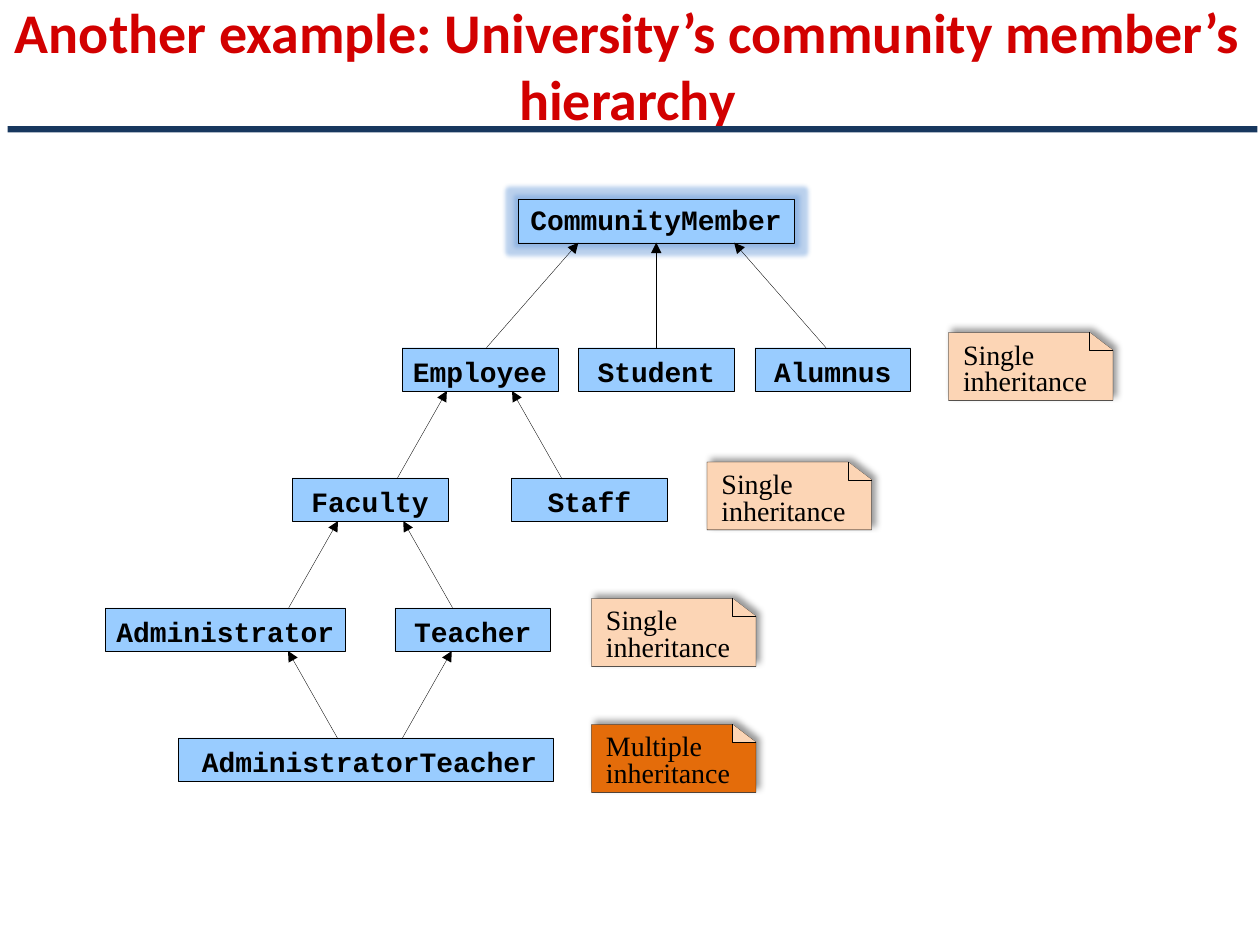
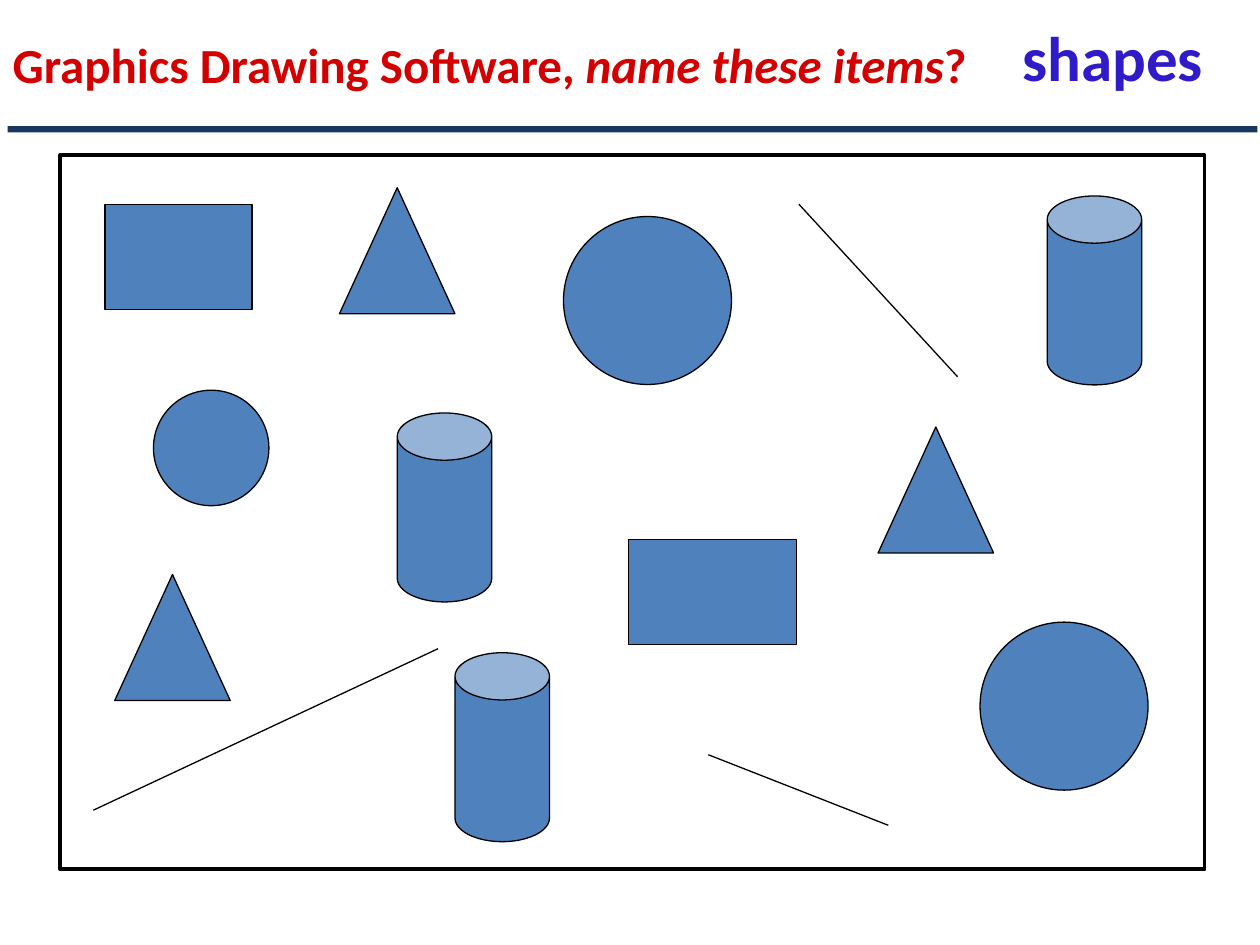
"""Build two slides: a class hierarchy and a page of drawing shapes."""
import lxml.etree
import pptx
import pptx.dml.color
import pptx.enum.shapes
import pptx.enum.text
import pptx.oxml.ns
import pptx.util

Pt = pptx.util.Pt
RGB = pptx.dml.color.RGBColor
KIND = pptx.enum.shapes.MSO_SHAPE
ALIGN = pptx.enum.text.PP_ALIGN
ANCHOR = pptx.enum.text.MSO_ANCHOR
qn = pptx.oxml.ns.qn

RED = RGB(0xD2, 0x00, 0x00)
NAVY = RGB(0x17, 0x37, 0x5E)
VIOLET = RGB(0x2F, 0x1B, 0xC7)
SKY = RGB(0x99, 0xCC, 0xFF)
GLOW = RGB(0x55, 0x8E, 0xD5)
PEACH = RGB(0xFC, 0xD5, 0xB5)
ORANGE = RGB(0xE4, 0x6C, 0x0A)
BLUE = RGB(0x4F, 0x81, 0xBD)
BLACK = RGB(0, 0, 0)
WHITE = RGB(255, 255, 255)

TREE_HEAD = [("Another example: University’s community member’s hierarchy", False)]
DRAW_HEAD = [("Graphics Drawing Software, ", False),
             ("name these items", True), ("?", False)]

ROWS = [114, 198.7, 273, 347.3, 421.7]
BOX_H = 24.7
BOXES = [
    [("CommunityMember", 296, 158)],
    [("Employee", 229.8, 89), ("Student", 330.5, 89), ("Alumnus", 431.4, 89)],
    [("Faculty", 167, 89), ("Staff", 292.3, 89)],
    [("Administrator", 60, 137.5), ("Teacher", 225.7, 89)],
    [("AdministratorTeacher", 102, 214.3)],
]
ARROWS = [
    [(278, 330.5), (375, 375), (472, 419.5)],
    [(227.2, 255.4), (320.8, 292.6)],
    [(165, 193.2), (258.6, 230.4)],
    [(192.8, 164.6), (230, 258.2)],
]
NOTES = [
    ("Single inheritance", 542, 190, PEACH),
    ("Single inheritance", 404, 264, PEACH),
    ("Single inheritance", 338, 342, PEACH),
    ("Multiple inheritance", 338, 414, ORANGE),
]
NOTE_W, NOTE_H, FOLD_W, FOLD_H = 94, 38.8, 13.4, 10.2

SHAPES = [
    (KIND.RECTANGLE, 84, 60, [(60, 116.7)]),
    (KIND.RECTANGLE, 96, 60, [(359, 308.3)]),
    (KIND.OVAL, 66, 66, [(87.7, 223)]),
    (KIND.OVAL, 96, 96, [(322, 123.7), (560, 355.5)]),
    (KIND.ISOSCELES_TRIANGLE, 66, 72, [(194, 107.3), (501.8, 244), (65.6, 328.3)]),
    (KIND.CAN, 54, 108, [(598.4, 112), (227, 236), (260, 373)]),
]
LINES = [(53.3, 463, 250.3, 370.7), (456.5, 116.7, 547.2, 215.3),
         (507.6, 471.6, 404.8, 431.3)]


def write(frame, runs, face, size, color, bold=True, align=ALIGN.CENTER, gap=None):
    para = frame.paragraphs[0]
    para.alignment = align
    if gap:
        para.line_spacing = gap
    frame.word_wrap = True
    for text, slant in runs:
        run = para.add_run()
        run.text = text
        font = run.font
        font.name, font.size, font.bold, font.italic = face, Pt(size), bold, slant
        font.color.rgb = color


def inset(frame, left, top, right):
    frame.vertical_anchor = ANCHOR.TOP
    frame.margin_left, frame.margin_top = Pt(left), Pt(top)
    frame.margin_right, frame.margin_bottom = Pt(right), 0


def paint(shape, fill, width=None):
    shape.shadow.inherit = False
    shape.fill.solid()
    shape.fill.fore_color.rgb = fill
    if width is None:
        shape.line.fill.background()
    else:
        shape.line.color.rgb = BLACK
        shape.line.width = Pt(width)
    return shape


def add(slide, kind, left, top, wide, high, fill, width=None):
    area = [Pt(v) for v in (left, top, wide, high)]
    return paint(slide.shapes.add_shape(kind, *area), fill, width)


def outline(slide, points, fill, close):
    spots = [(Pt(x), Pt(y)) for x, y in points]
    build = slide.shapes.build_freeform(*spots[0])
    build.add_line_segments(spots[1:], close=close)
    return paint(build.convert_to_shape(), fill, 0.2)


def effect(shape, tag, color, alpha, **sizes):
    group = shape.element.spPr.find(qn("a:effectLst"))
    node = lxml.etree.SubElement(group, qn(tag))
    for key, value in sizes.items():
        node.set(key, str(value))
    tint = lxml.etree.SubElement(node, qn("a:srgbClr"), val=str(color))
    lxml.etree.SubElement(tint, qn("a:alpha"), val=str(alpha * 1000))


def link(slide, ends, width, arrow=False):
    straight = pptx.enum.shapes.MSO_CONNECTOR.STRAIGHT
    line = slide.shapes.add_connector(straight, *[Pt(v) for v in ends])
    line.line.color.rgb = BLACK
    line.line.width = Pt(width)
    props = line.element.spPr
    if arrow:
        lxml.etree.SubElement(props.find(qn("a:ln")), qn("a:tailEnd"), type="triangle")
    lxml.etree.SubElement(props, qn("a:effectLst"))


def start(deck, runs, area, size, align):
    slide = deck.slides.add_slide(deck.slide_layouts[5])
    title = slide.shapes.title
    title.left, title.top, title.width, title.height = [Pt(v) for v in area]
    frame = title.text_frame
    frame.auto_size = pptx.enum.text.MSO_AUTO_SIZE.NONE
    frame.vertical_anchor = ANCHOR.MIDDLE
    write(frame, runs, "Calibri", size, RED, align=align)
    add(slide, KIND.RECTANGLE, 4.3, 72, 714.2, 3.6, NAVY)
    return slide


def note(slide, text, left, top, fill):
    right, base = left + NOTE_W, top + NOTE_H
    crease, notch = right - FOLD_W, top + FOLD_H
    body = outline(slide, [(crease, top), (right, notch), (right, base),
                           (left, base), (left, top)], fill, True)
    effect(body, "a:outerShdw", BLACK, 40, blurRad=Pt(4), dist=Pt(3),
           dir=315 * 60000, algn="bl", rotWithShape=0)
    outline(slide, [(right, notch), (crease, notch), (crease, top)], PEACH, False)
    inset(body.text_frame, 8.3, 6.3, 8)
    write(body.text_frame, [(text, False)], "Times New Roman", 16, BLACK,
          False, ALIGN.LEFT, 0.8)


def tree(deck):
    slide = start(deck, TREE_HEAD, (-1.4, 2.9, 720, 67.7), 32, ALIGN.CENTER)
    for row, (top, boxes) in enumerate(zip(ROWS, BOXES)):
        for name, left, wide in boxes:
            box = add(slide, KIND.RECTANGLE, left, top, wide, BOX_H, SKY, 0.2)
            inset(box.text_frame, 4 if row == 4 else 0, 7.5 if row else 5.6, 0)
            write(box.text_frame, [(name, False)], "Courier New", 16, BLACK, gap=0.8)
            if row == 0:
                effect(box, "a:glow", GLOW, 40, rad=Pt(5))
    for top, below, arrows in zip(ROWS, ROWS[1:], ARROWS):
        for child, parent in arrows:
            link(slide, (child, below, parent, top + BOX_H), 0.2, True)
    for item in NOTES:
        note(slide, *item)


def draw(deck):
    slide = start(deck, DRAW_HEAD, (0, 1.4, 588, 70.6), 28, ALIGN.LEFT)
    add(slide, KIND.RECTANGLE, 34.5, 88.6, 653.8, 408.2, WHITE, 2.25)
    for kind, wide, high, spots in SHAPES:
        for left, top in spots:
            item = add(slide, kind, left, top, wide, high, BLUE, 0.75)
            if kind == KIND.CAN:
                item.adjustments[0] = 0.5
    for ends in LINES:
        link(slide, ends, 0.75)
    label = slide.shapes.add_textbox(Pt(566), Pt(-2.9), Pt(139.7), Pt(70.6))
    label.text_frame.vertical_anchor = ANCHOR.MIDDLE
    write(label.text_frame, [("shapes", False)], "Calibri", 36, VIOLET)


def main():
    deck = pptx.Presentation()
    deck.slide_width, deck.slide_height = Pt(720), Pt(540)
    tree(deck)
    draw(deck)
    deck.save("out.pptx")


if __name__ == "__main__":
    main()
